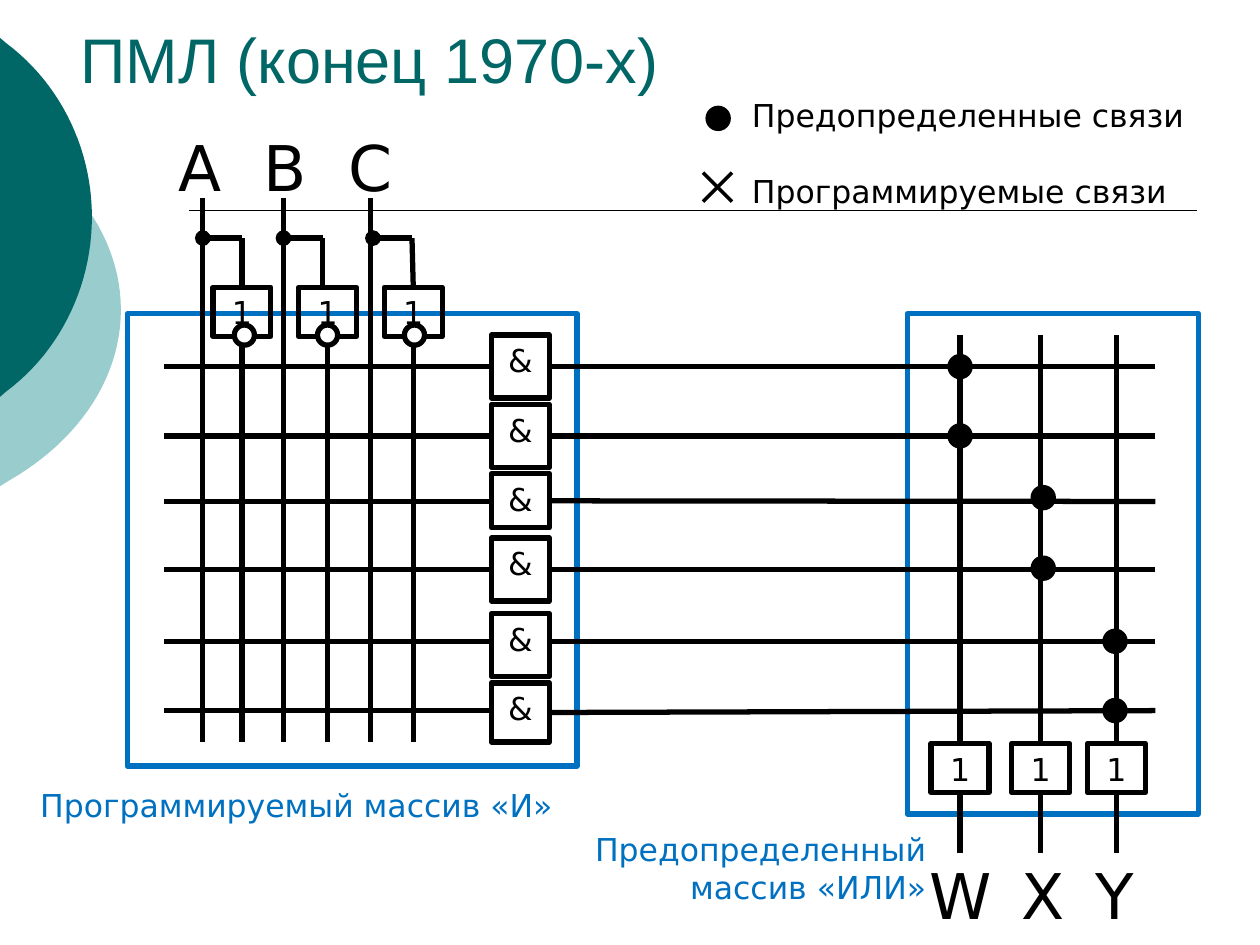
from lxml.etree import SubElement
from pptx import Presentation
from pptx.dml.color import RGBColor
from pptx.enum.shapes import MSO_CONNECTOR, MSO_SHAPE
from pptx.enum.text import MSO_ANCHOR as ANCHOR, PP_ALIGN as ALIGN
from pptx.oxml.ns import qn
from pptx.util import Inches, Pt

BLACK = RGBColor(0x00, 0x00, 0x00)
WHITE = RGBColor(0xFF, 0xFF, 0xFF)
BLUE = RGBColor(0x00, 0x70, 0xC0)
TEAL = RGBColor(0x00, 0x66, 0x66)
MINT = RGBColor(0x99, 0xCC, 0xCC)
TOP, BOTTOM, RIGHT = 0, 2, 3  # connection sites


class Diagram:
    font, size, weight = "DejaVu Sans", 18, 3

    def __init__(self, slide):
        self.s = slide

    def set_text(self, sp, text, color=BLACK, align=ALIGN.LEFT, anchor=ANCHOR.TOP, **font):
        tf = sp.text_frame
        tf.word_wrap, tf.vertical_anchor = True, anchor
        p = tf.paragraphs[0]
        p.alignment = align
        r = p.add_run()
        r.text = text
        for name, value in {"name": self.font, "size": Pt(self.size), **font}.items():
            setattr(r.font, name, value)
        r.font.color.rgb = color

    def label(self, x, y, w, h, text, **style):
        self.set_text(self.s.shapes.add_textbox(*map(Inches, (x, y, w, h))), text, **style)

    def shape(self, kind, x, y, w, h, line=BLACK, fill=None):
        sp = self.s.shapes.add_shape(kind, *map(Inches, (x, y, w, h)))
        sp.shadow.inherit = False
        sp.line.color.rgb, sp.line.width = line, Pt(self.weight)
        if fill is None:
            sp.fill.background()
        else:
            sp.fill.solid()
            sp.fill.fore_color.rgb = fill
        return sp

    def frame(self, x, y, w, h):
        self.shape(MSO_SHAPE.RECTANGLE, x, y, w, h, line=BLUE)

    def gate(self, x, y, h, text):
        sp = self.shape(MSO_SHAPE.RECTANGLE, x, y, 0.46, h)
        self.set_text(sp, text, align=ALIGN.CENTER)
        return sp

    def dot(self, x, y, fill=BLACK):
        """Circle given by its centre."""
        self.shape(MSO_SHAPE.OVAL, x - 0.08, y - 0.08, 0.16, 0.16, fill=fill)

    def line(self, x1, y1, x2, y2, weight=None, oval=False, start=None, end=None):
        """start and end are (shape, site) pairs, joined only if they lie close by."""
        c = self.s.shapes.add_connector(MSO_CONNECTOR.STRAIGHT, *map(Inches, (x1, y1, x2, y2)))
        c.line.color.rgb, c.line.width = BLACK, Pt(weight or self.weight)
        if oval:
            SubElement(c.line._get_or_add_ln(), qn("a:tailEnd"), type="oval")
        SubElement(c._element.spPr, qn("a:effectLst"))
        for joint, join, x, y in ((start, c.begin_connect, x1, y1), (end, c.end_connect, x2, y2)):
            if joint:
                sp, site = joint
                if site == RIGHT:
                    gap = sp.top + sp.height / 2 - Inches(y)
                else:
                    gap = sp.left + sp.width / 2 - Inches(x)
                if abs(gap) < Inches(0.02):
                    join(sp, site)

    def arc(self, curves, fill, steps=24):
        """Outline through cubic Bezier curves, closed along the slide's left edge."""
        points = []
        for a, b, c, d in curves:
            for i in range(steps + 1):
                t = i / steps
                u = 1 - t
                points.append(tuple(
                    Inches(max(0, u**3 * a[k] + 3 * u * u * t * b[k]
                               + 3 * u * t * t * c[k] + t**3 * d[k])) for k in (0, 1)))
        builder = self.s.shapes.build_freeform(*points[0])
        builder.add_line_segments(points[1:], close=True)
        sp = builder.convert_to_shape()
        sp.shadow.inherit = False
        sp.fill.solid()
        sp.fill.fore_color.rgb = fill
        sp.line.fill.background()


def main():
    prs = Presentation()
    prs.slide_width, prs.slide_height = Inches(10), Inches(7.5)
    d = Diagram(prs.slides.add_slide(prs.slide_layouts[6]))

    # Background decoration
    d.arc([((-0.01, 1.06), (0.6, 1.38), (0.96, 1.9), (0.96, 2.46)),
           ((0.96, 2.46), (0.96, 3.02), (0.6, 3.54), (-0.01, 3.86))], MINT)
    d.arc([((-0.01, 0.3), (0.46, 0.62), (0.73, 1.16), (0.73, 1.72)),
           ((0.73, 1.72), (0.73, 2.29), (0.46, 2.83), (-0.01, 3.15))], TEAL)
    d.line(1.5, 1.67, 9.5, 1.67, weight=1)

    # Title
    d.label(0.54, 0.11, 8.55, 0.7, "ПМЛ (конец 1970-х)", color=TEAL,
            anchor=ANCHOR.BOTTOM, name="Arial", size=Pt(36))

    # Array frames
    d.frame(1.01, 2.49, 3.57, 3.59)
    d.frame(7.2, 2.49, 2.31, 3.97)

    # Product rows: wire y, gate top, gate height
    rows = [(2.91, 2.66, 0.5), (3.46, 3.21, 0.5), (3.98, 3.76, 0.43),
            (4.52, 4.27, 0.5), (5.09, 4.87, 0.5), (5.64, 5.42, 0.47)]
    for y, top, height in rows:
        d.line(3.88, y, 1.3, y)
        gate = d.gate(3.9, top, height, "&")
        d.line(9.17, y, 4.36, y, end=(gate, RIGHT))

    # Inputs: name, wire x, branch start x, branch end x, bubble x
    inputs = [("A", 1.61, 1.61, 1.92, 1.94), ("B", 2.25, 2.25, 2.56, 2.6),
              ("C", 2.94, 2.96, 3.27, 3.29)]
    for i, (name, x, node, branch, bubble) in enumerate(inputs):
        left = 1.69 + 0.68 * i
        mid = left + 0.23
        inverter = d.gate(left, 2.28, 0.39, "1")
        d.line(x, 1.57, x, 5.89)
        d.line(mid, 2.67, mid, 5.89, start=(inverter, BOTTOM))
        d.line(branch, 1.89, node, 1.89, oval=True)
        d.line(branch, 1.89, branch, 2.28, end=(inverter, TOP))
        d.dot(bubble, 2.66, fill=WHITE)
        d.label(1.32 + 0.675 * i, 0.97, 0.63, 0.71, name, size=Pt(36))

    # Outputs: name, wire x, label x, dot x; each sums two rows
    outputs = [("W", 7.62, 7.28, 7.62), ("X", 8.26, 8.01, 8.28), ("Y", 8.86, 8.6, 8.85)]
    dot_ys = [2.91, 3.46, 3.95, 4.51, 5.09, 5.64]
    for i, (name, x, label_x, dot_x) in enumerate(outputs):
        gate = d.gate(x - 0.23, 5.9, 0.39, "1")
        d.line(x, 2.66, x, 5.9, end=(gate, TOP))
        d.line(x, 6.29, x, 6.77, start=(gate, BOTTOM))
        d.label(label_x, 6.75, 0.63, 0.71, name, size=Pt(36))
        for y in dot_ys[2 * i:2 * i + 2]:
            d.dot(dot_x, y)

    # Legend
    d.dot(5.7, 0.94)
    d.line(5.58, 1.37, 5.81, 1.6, weight=2)
    d.line(5.81, 1.37, 5.58, 1.6, weight=2)
    d.label(5.87, 0.71, 3.96, 0.4, "Предопределенные связи")
    d.label(5.87, 1.32, 3.96, 0.4, "Программируемые связи")

    # Array captions
    d.label(0.22, 6.19, 4.45, 0.4, "Программируемый массив «И»", color=BLUE)
    d.label(4.58, 6.54, 2.87, 0.71, "Предопределенный массив «ИЛИ»",
            color=BLUE, align=ALIGN.RIGHT)

    prs.save("out.pptx")


if __name__ == "__main__":
    main()
